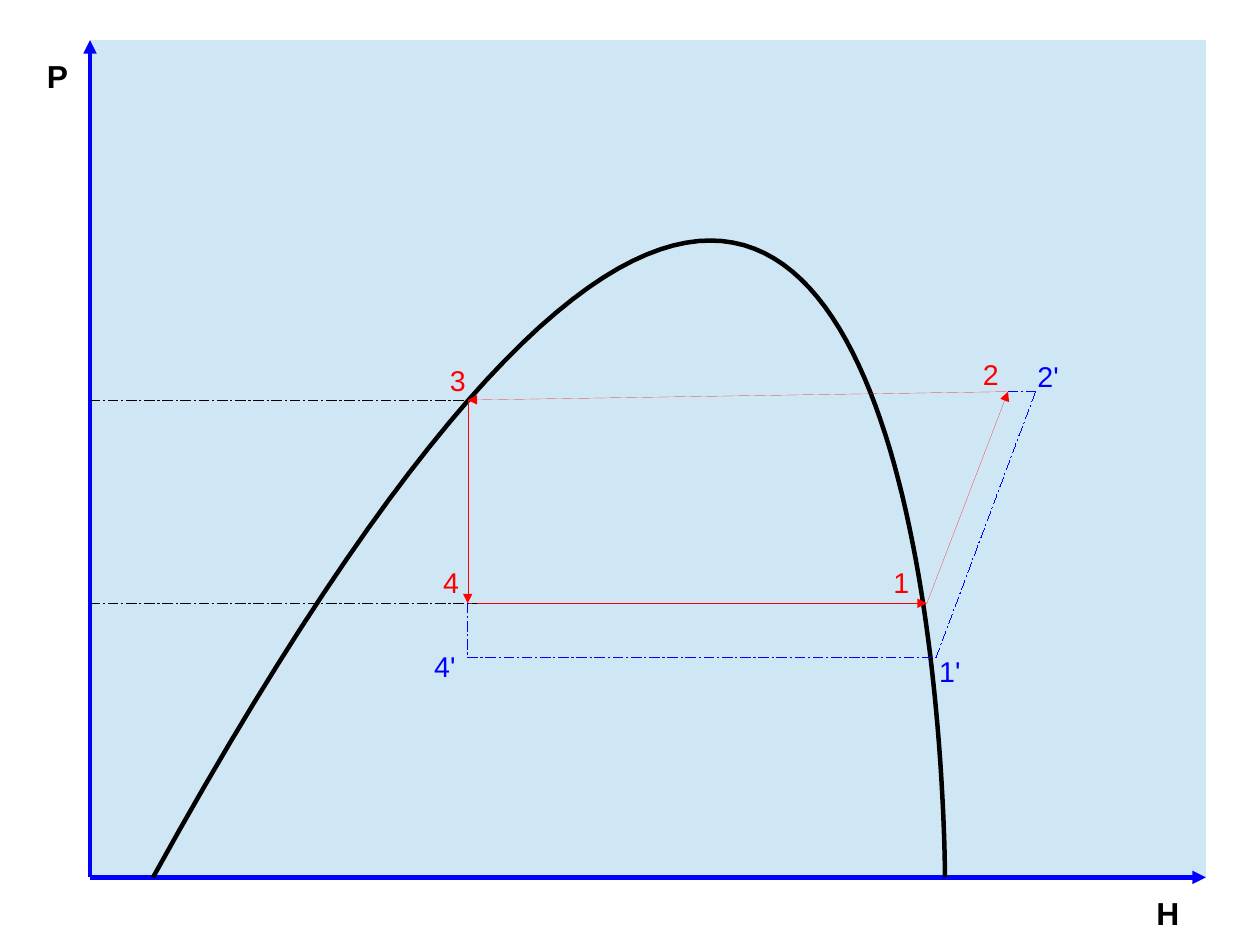
from lxml import etree
from pptx import Presentation
from pptx.dml.color import RGBColor
from pptx.enum.dml import MSO_LINE
from pptx.enum.shapes import MSO_CONNECTOR, MSO_SHAPE
from pptx.enum.text import MSO_AUTO_SIZE
from pptx.oxml.ns import qn
from pptx.util import Pt

RECT = MSO_SHAPE.RECTANGLE
LINE = MSO_CONNECTOR.STRAIGHT
DASH = MSO_LINE.LONG_DASH_DOT
FIT = MSO_AUTO_SIZE.SHAPE_TO_FIT_TEXT
HUES = {"plot": "CFE7F5", "blue": "0000FF", "red": "FF0000", "black": "000000"}
FONT = "Arial"
THICK, THIN = 2.83, 0.01
LEFT, TOP, RIGHT, BASE = 56.7, 25.3, 759.6, 552.7
STATES = {
    "1": (583.9, 380), "2": (635, 246.7), "3": (294.6, 252), "4": (294.6, 380),
    "1'": (589.6, 414), "2'": (652.3, 246.7), "4'": (294.6, 414),
}


def hue(name):
    """Return the named colour."""
    return RGBColor.from_string(HUES[name])


def add_plot(slide):
    """Add the pale plot area."""
    plot = slide.shapes.add_shape(
        RECT, Pt(LEFT), Pt(TOP), Pt(RIGHT - LEFT), Pt(BASE - TOP))
    plot.shadow.inherit = False
    plot.fill.solid()
    plot.fill.fore_color.rgb = hue("plot")
    plot.line.fill.background()


def add_line(slide, start, end, color, width=THIN, arrow=False, dash=None):
    """Add a straight line, with an arrowhead at its end if asked."""
    line = slide.shapes.add_connector(LINE, *map(Pt, start + end))
    line.line.color.rgb = hue(color)
    line.line.width = Pt(width)
    if dash:
        line.line.dash_style = dash
    props = line._element.spPr
    if arrow:
        etree.SubElement(props.find(qn("a:ln")), qn("a:tailEnd"), type="triangle")
    etree.SubElement(props, qn("a:effectLst"))


def add_dome(slide, left=96.4, right=595.3, rise=902.6, steps=90):
    """Add the saturation dome as a cubic curve."""
    spots = []
    for step in range(steps + 1):
        t = step / steps
        x = right - (right - left) * (1 - t) ** 3
        y = BASE - rise * 3 * t * (1 - t) ** 2
        spots.append((Pt(x), Pt(y)))
    path = slide.shapes.build_freeform(*spots[0])
    path.add_line_segments(spots[1:], close=False)
    dome = path.convert_to_shape()
    dome.shadow.inherit = False
    dome.fill.background()
    dome.line.color.rgb = hue("black")
    dome.line.width = Pt(THICK)


def add_label(slide, text, left, top, color, size=18, bold=False):
    """Add a short label in a box that fits it."""
    width = 24.5 if text.isdigit() else 28.5
    box = slide.shapes.add_textbox(
        Pt(left), Pt(top), Pt(width), Pt(size * 1.12 + 7.2))
    frame = box.text_frame
    frame.word_wrap = False
    frame.auto_size = FIT
    frame.text = text
    font = frame.paragraphs[0].runs[0].font
    font.name, font.size, font.bold = FONT, Pt(size), bold
    font.color.rgb = hue(color)


def main():
    """Build the pressure and enthalpy diagram."""
    deck = Presentation()
    deck.slide_width, deck.slide_height = Pt(793.7), Pt(595.28)
    slide = deck.slides.add_slide(deck.slide_layouts[6])

    add_plot(slide)
    for end in ((LEFT, TOP), (RIGHT, BASE)):
        add_line(slide, (LEFT, BASE), end, "blue", THICK, arrow=True)
    add_label(slide, "P", 22.5, 32.4, "black", 20, True)
    add_label(slide, "H", 721.3, 559.2, "black", 20, True)
    add_dome(slide)

    for start, end in ("34", "41", "12", "23"):
        add_line(slide, STATES[start], STATES[end], "red", arrow=True)
    for name, right in (("4", 300.2), ("3", 294.6)):
        level = STATES[name][1]
        add_line(slide, (LEFT, level), (right, level), "black", dash=DASH)
    for start, end in (("4", "4'"), ("4'", "1'"), ("1'", "2'"), ("2", "2'")):
        add_line(slide, STATES[start], STATES[end], "blue", dash=DASH)

    for text, left, top in (
        ("4", 272.1, 352.5), ("2", 612, 221), ("1", 555.7, 352.5),
        ("3", 276.3, 225.1), ("4'", 266.4, 405.2), ("1'", 584.5, 408.1),
        ("2'", 646.4, 222.3),
    ):
        add_label(slide, text, left, top, "blue" if "'" in text else "red")
    deck.save("out.pptx")


if __name__ == "__main__":
    main()
